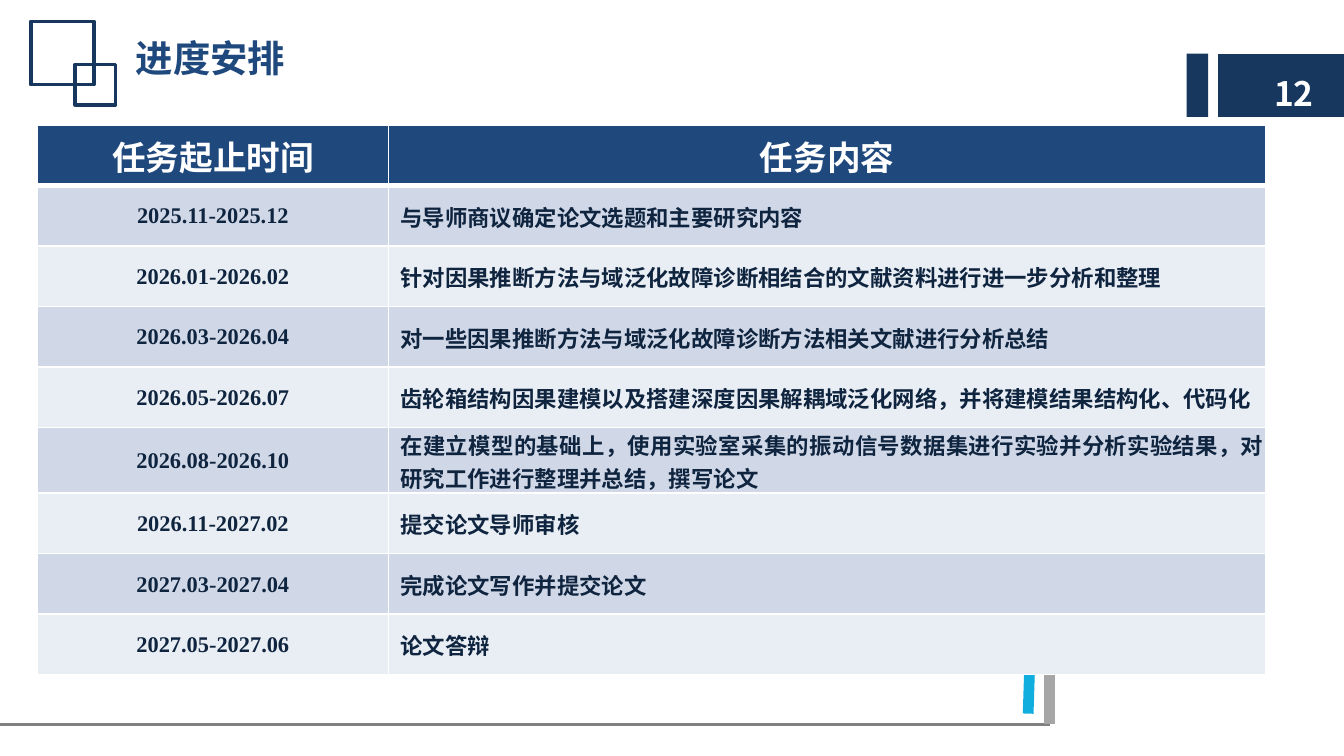
from lxml import etree
from pptx import Presentation
from pptx.dml.color import RGBColor
from pptx.enum.shapes import MSO_CONNECTOR, MSO_SHAPE
from pptx.enum.text import MSO_ANCHOR, MSO_AUTO_SIZE, PP_ALIGN
from pptx.oxml.ns import qn
from pptx.util import Inches, Pt

RECTANGLE, PROCESS = MSO_SHAPE.RECTANGLE, MSO_SHAPE.FLOWCHART_PROCESS
STRAIGHT = MSO_CONNECTOR.STRAIGHT
LEFT, CENTER, JUSTIFY = PP_ALIGN.LEFT, PP_ALIGN.CENTER, PP_ALIGN.JUSTIFY
MIDDLE, TOP = MSO_ANCHOR.MIDDLE, MSO_ANCHOR.TOP
NO_FIT, GROW = MSO_AUTO_SIZE.NONE, MSO_AUTO_SIZE.SHAPE_TO_FIT_TEXT

NAVY = RGBColor(0x17, 0x37, 0x5E)
BLUE = RGBColor(0x1F, 0x49, 0x7D)
INK = RGBColor(0x0F, 0x24, 0x3E)
CYAN = RGBColor(0x10, 0xAD, 0xDF)
GRAY = RGBColor(0x80, 0x80, 0x80)
LIGHT_GRAY = RGBColor(0xA6, 0xA6, 0xA6)
WHITE = RGBColor(0xFF, 0xFF, 0xFF)
BANDS = (RGBColor(0xD0, 0xD8, 0xE8), RGBColor(0xE9, 0xED, 0xF4))

CJK_FONT = "Noto Sans CJK SC"
SERIF = "Times New Roman"

SLIDE_WIDTH = Inches(10)
SLIDE_HEIGHT = SLIDE_WIDTH * 9 // 16

COLUMN_WIDTHS = (2.61, 6.53)
ROW_HEIGHT, TWO_LINE_HEIGHT = 0.45, 0.49
LINE_CAPACITY = 40  # characters that fit on one line of the task column
HEADERS = ("任务起止时间", "任务内容")
SCHEDULE = (
    ("2025.11-2025.12", "与导师商议确定论文选题和主要研究内容"),
    ("2026.01-2026.02", "针对因果推断方法与域泛化故障诊断相结合的文献资料进行进一步分析和整理"),
    ("2026.03-2026.04", "对一些因果推断方法与域泛化故障诊断方法相关文献进行分析总结"),
    ("2026.05-2026.07", "齿轮箱结构因果建模以及搭建深度因果解耦域泛化网络，并将建模结果结构化、代码化"),
    ("2026.08-2026.10", "在建立模型的基础上，使用实验室采集的振动信号数据集进行实验并分析实验结果，"
                        "对研究工作进行整理并总结，撰写论文"),
    ("2026.11-2027.02", "提交论文导师审核"),
    ("2027.03-2027.04", "完成论文写作并提交论文"),
    ("2027.05-2027.06", "论文答辩"),
)


def place(box, left, top, width, height):
    box.left, box.top = Inches(left), Inches(top)
    box.width, box.height = Inches(width), Inches(height)


def write(frame, text, size, font, color, align=LEFT):
    """Put one bold run in the first paragraph and return the paragraph."""
    para = frame.paragraphs[0]
    para.alignment = align
    span = para.add_run()
    span.text = text
    span.font.size, span.font.bold = Pt(size), True
    span.font.color.rgb = color
    span.font.name = font
    east_asian = etree.SubElement(span.font._element, qn("a:ea"))
    east_asian.set("typeface", CJK_FONT)
    return para


def add_block(page, kind, left, top, width, height, fill=None):
    """Add a solid block, or a navy outline when no fill is given."""
    block = page.shapes.add_shape(
        kind, Inches(left), Inches(top), Inches(width), Inches(height))
    block.shadow.inherit = False
    if fill is None:
        block.fill.background()
        block.line.color.rgb = NAVY
        block.line.width = Pt(2)
    else:
        block.fill.solid()
        block.fill.fore_color.rgb = fill
        block.line.fill.background()


def add_line(page, start, end, color, width):
    x1, y1, x2, y2 = map(Inches, start + end)
    line = page.shapes.add_connector(STRAIGHT, x1, y1, x2, y2)
    line.line.color.rgb = color
    line.line.width = Pt(width)
    etree.SubElement(line._element.spPr, qn("a:effectLst"))


def style_cell(cell, fill, bottom_width=1):
    """Set white borders and a plain fill."""
    properties = cell._tc.get_or_add_tcPr()
    for side, width in (("L", 1), ("R", 1), ("T", 1), ("B", bottom_width)):
        border = etree.SubElement(properties, qn(f"a:ln{side}"), w=str(Pt(width)))
        solid = etree.SubElement(border, qn("a:solidFill"))
        etree.SubElement(solid, qn("a:srgbClr"), val=str(WHITE))
    cell.fill.solid()
    cell.fill.fore_color.rgb = fill


def add_schedule(page):
    heights = [ROW_HEIGHT] + [
        TWO_LINE_HEIGHT if len(task) > LINE_CAPACITY else ROW_HEIGHT
        for _, task in SCHEDULE]
    table = page.shapes.add_table(
        len(heights), len(HEADERS), Inches(0.28), Inches(0.93),
        Inches(sum(COLUMN_WIDTHS)), Inches(sum(heights))).table
    for column, width in zip(table.columns, COLUMN_WIDTHS):
        column.width = Inches(width)
    for row, height in zip(table.rows, heights):
        row.height = Inches(height)

    # Header row
    for cell, text in zip(table.rows[0].cells, HEADERS):
        style_cell(cell, BLUE, bottom_width=3)
        cell.vertical_anchor = TOP
        write(cell.text_frame, text, 18, "Calibri", WHITE, CENTER)

    # Banded body rows
    for index, entry in enumerate(SCHEDULE):
        cells = table.rows[index + 1].cells
        for cell, text, align in zip(cells, entry, (CENTER, JUSTIFY)):
            style_cell(cell, BANDS[index % 2])
            cell.vertical_anchor = MIDDLE
            cell.margin_left = cell.margin_right = cell.margin_top = Inches(0.01)
            cell.margin_bottom = 0
            para = write(cell.text_frame, text, 12, SERIF, INK, align)
            if align == JUSTIFY:
                para._p.get_or_add_pPr().set("marL", str(Inches(0.08)))


def add_title(page):
    title = page.shapes.title
    place(title, 0.91, 0.21, 3.18, 0.44)
    frame = title.text_frame
    frame.auto_size, frame.vertical_anchor = GROW, MIDDLE
    write(frame, "进度安排", 20, SERIF, BLUE)


def add_page_number(page):
    box = page.shapes.add_textbox(
        Inches(9.09), Inches(0.45), Inches(0.71), Inches(0.48))
    frame = box.text_frame
    frame.word_wrap, frame.auto_size = False, NO_FIT
    frame.vertical_anchor = MIDDLE
    frame.margin_left = Inches(0.39)
    frame.margin_right = frame.margin_top = frame.margin_bottom = 0
    write(frame, "12", 18, CJK_FONT, WHITE)


def main():
    deck = Presentation()
    deck.slide_width, deck.slide_height = SLIDE_WIDTH, SLIDE_HEIGHT
    page = deck.slides.add_slide(deck.slide_layouts[5])

    # Corner squares and page number blocks
    add_block(page, RECTANGLE, 0.23, 0.16, 0.47, 0.47)
    add_block(page, RECTANGLE, 0.56, 0.48, 0.3, 0.3)
    add_block(page, PROCESS, 9.06, 0.4, 0.94, 0.47, NAVY)
    add_block(page, RECTANGLE, 8.83, 0.4, 0.16, 0.47, NAVY)

    # Footer lines
    add_line(page, (0, 5.39), (7.81, 5.39), GRAY, 1.25)
    add_line(page, (7.81, 5.39), (7.81, 4.92), LIGHT_GRAY, 5.75)
    add_line(page, (7.65, 5.31), (7.66, 5), CYAN, 5.75)

    # Content
    add_schedule(page)
    add_title(page)
    add_page_number(page)
    deck.save("out.pptx")


if __name__ == "__main__":
    main()
